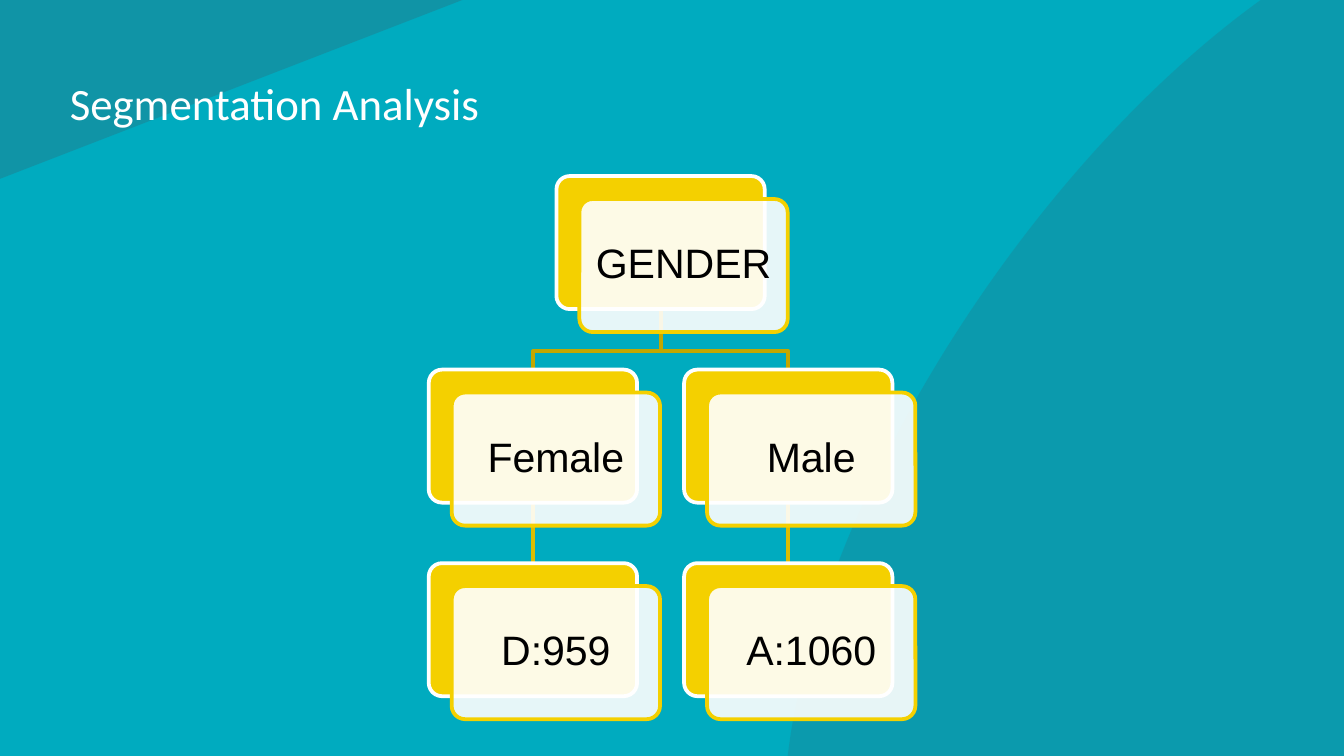
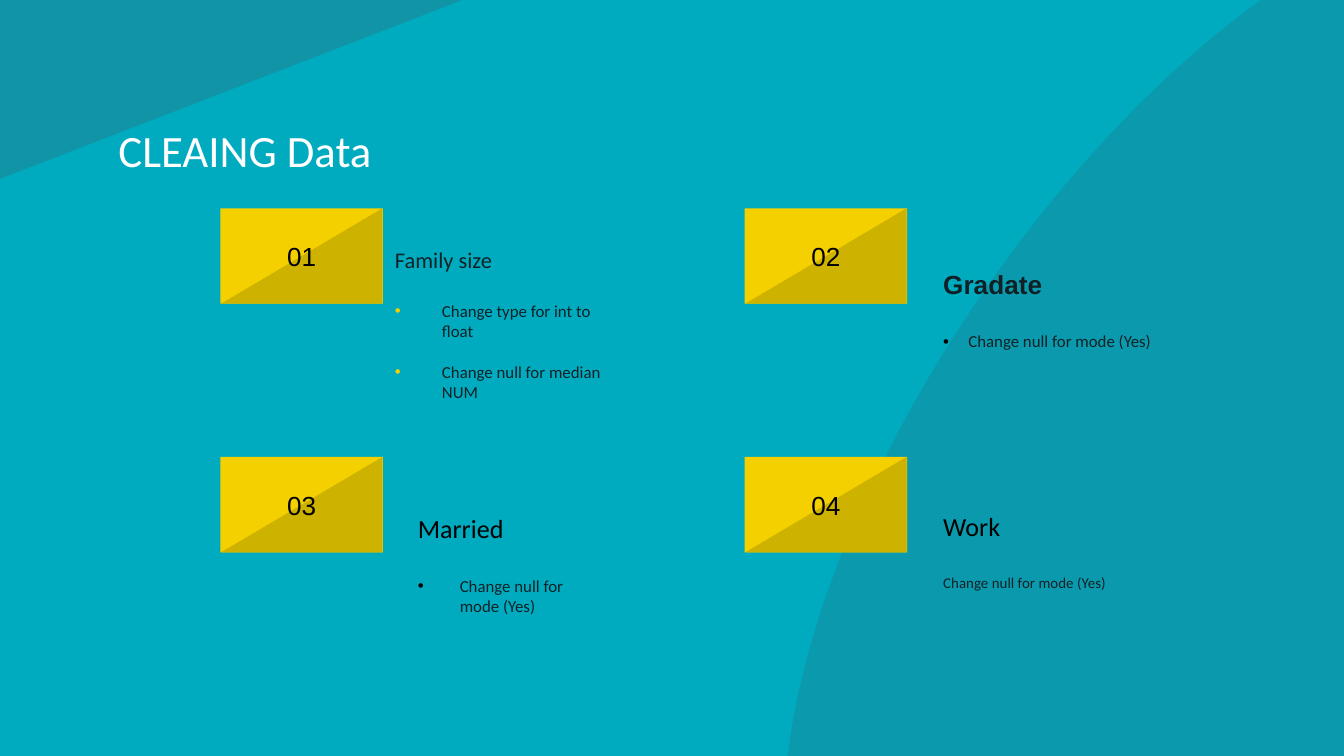
from lxml.etree import SubElement
from pptx import Presentation
from pptx.dml.color import RGBColor
from pptx.enum.shapes import MSO_CONNECTOR, MSO_SHAPE
from pptx.enum.text import MSO_ANCHOR, MSO_AUTO_SIZE, PP_ALIGN
from pptx.oxml.ns import qn
from pptx.util import Pt

TEAL, SLATE = "00ABBF", "336574"
YELLOW, OCHRE = "F4D000", "CEB200"
BRANCH, STEM = "C3A700", "DDBD00"
WHITE, BLACK, INK = "FFFFFF", "000000", "102126"
INSET = 7.2


def color(hex_code):
    return RGBColor.from_string(hex_code)


def add_text(frame, text, size=14, font="Calibri", ink=BLACK, bold=False,
             align=PP_ALIGN.LEFT, before=0, line=None, left=0, hanging=0, bullet=None):
    """Add one paragraph; the first one fills the frame's empty paragraph."""
    first = frame.paragraphs[0]
    paragraph = frame.add_paragraph() if first.runs else first
    paragraph.alignment = align
    paragraph.space_before = Pt(before)
    if line:
        paragraph.line_spacing = line
    run = paragraph.add_run()
    run.text = text
    run.font.size, run.font.name, run.font.bold = Pt(size), font, bold
    run.font.color.rgb = color(ink)
    properties = paragraph._p.get_or_add_pPr()
    properties.set("marL", str(Pt(left)))
    properties.set("indent", str(Pt(-hanging)))
    if bullet:
        bullet_color = SubElement(properties, qn("a:buClr"))
        SubElement(bullet_color, qn("a:srgbClr"), val=bullet)
        SubElement(properties, qn("a:buFont"), typeface="Arial")
        SubElement(properties, qn("a:buChar"), char="•")


class Deck:
    def __init__(self):
        self.presentation = Presentation()
        self.presentation.slide_width = Pt(720)
        self.presentation.slide_height = Pt(405)
        self.layout = self.presentation.slide_layouts[5]
        self.slide = None

    def new_slide(self, title, left, top, width, height):
        self.slide = self.presentation.slides.add_slide(self.layout)
        heading = self.slide.shapes.title
        heading.left, heading.top = Pt(left), Pt(top)
        heading.width, heading.height = Pt(width), Pt(height)
        self.frame(heading)
        add_text(heading.text_frame, title, size=24, ink=WHITE)

    def decorate_layout(self):
        """Move the two background shapes and the background to the shared layout."""
        background = self.layout.background.fill
        background.solid()
        background.fore_color.rgb = color(TEAL)
        corner = self.shape(MSO_SHAPE.RIGHT_TRIANGLE, 0, 0, 247.7, 95.8, SLATE,
                            alpha=32, rotation=180, flip=True)
        curve = self.shape(MSO_SHAPE.OVAL, 308.9, 91.4, 686.9, 307.4, SLATE,
                           alpha=23, rotation=304.5)
        for number, backdrop in enumerate((corner, curve)):
            backdrop._element.nvSpPr.cNvPr.id = 100 + number
            self.layout.shapes._spTree.insert(2 + number, backdrop._element)

    def frame(self, holder, inset=INSET, bottom=INSET):
        frame = holder.text_frame
        frame.word_wrap = True
        frame.auto_size = MSO_AUTO_SIZE.NONE
        frame.vertical_anchor = MSO_ANCHOR.MIDDLE
        frame.margin_left = frame.margin_right = frame.margin_top = Pt(inset)
        frame.margin_bottom = Pt(bottom)
        return frame

    def shape(self, kind, left, top, width, height, fill, alpha=None, line=None,
              rotation=0, flip=False):
        shape = self.slide.shapes.add_shape(kind, Pt(left), Pt(top), Pt(width), Pt(height))
        shape.shadow.inherit = False
        shape.rotation = rotation
        shape.fill.solid()
        shape.fill.fore_color.rgb = color(fill)
        if alpha:
            srgb = shape._element.spPr.find(qn("a:solidFill")).find(qn("a:srgbClr"))
            SubElement(srgb, qn("a:alpha"), val=str(alpha * 1000))
        if line:
            self.outline(shape, line)
        else:
            shape.line.fill.background()
        if flip:
            shape._element.spPr.xfrm.set("flipH", "1")
        return shape

    def outline(self, item, line):
        item.line.color.rgb = color(line)
        item.line.width = Pt(2)

    def text_box(self, left, top, width, height, bottom=INSET):
        box = self.slide.shapes.add_textbox(Pt(left), Pt(top), Pt(width), Pt(height))
        return self.frame(box, bottom=bottom)

    def card(self, label, left, top):
        """Yellow card with a translucent labelled card in front of it."""
        width, height, offset = 111.6, 71.3, 12.3
        back = self.shape(MSO_SHAPE.ROUNDED_RECTANGLE, left, top, width, height,
                          YELLOW, line=WHITE)
        front = self.shape(MSO_SHAPE.ROUNDED_RECTANGLE, left + offset, top + offset,
                           width, height, WHITE, alpha=90, line=YELLOW)
        back.adjustments[0] = front.adjustments[0] = 0.1
        add_text(self.frame(front, inset=6, bottom=6), label, size=22, font="Arial",
                 align=PP_ALIGN.CENTER, line=0.9)
        return back

    def send_to_back(self, item):
        self.slide.shapes._spTree.insert(2, item._element)

    def stem(self, parent, child):
        link = self.slide.shapes.add_connector(MSO_CONNECTOR.STRAIGHT, 0, 0, 0, 0)
        link.begin_connect(parent, 2)
        link.end_connect(child, 0)
        self.outline(link, STEM)
        SubElement(link._element.spPr, qn("a:effectLst"))
        self.send_to_back(link)

    def branch(self, parent, child):
        start_x = parent.left + parent.width // 2
        end_x = child.left + child.width // 2
        bend_y = child.top - Pt(10)
        builder = self.slide.shapes.build_freeform(start_x, parent.top + parent.height)
        builder.add_line_segments([(start_x, bend_y), (end_x, bend_y), (end_x, child.top)],
                                  close=False)
        link = builder.convert_to_shape()
        link.shadow.inherit = False
        link.fill.background()
        self.outline(link, BRANCH)
        self.send_to_back(link)

    def number_tile(self, number, left, top):
        width, height = 87.1, 51.1
        self.shape(MSO_SHAPE.RECTANGLE, left, top, width, height, YELLOW)
        self.shape(MSO_SHAPE.RIGHT_TRIANGLE, left + 0.4, top, 86.4, height, OCHRE, flip=True)
        add_text(self.text_box(left, top, width, height), f"{number:02}", font="Arial",
                 align=PP_ALIGN.CENTER)


def build_segmentation(deck):
    deck.new_slide("Segmentation Analysis", 30.2, 32.4, 443.5, 45.4)
    deck.decorate_layout()
    left, top, column_step, row_step = 229.7, 94.3, 136.8, 103.7

    # Tree: the root is centred above two columns
    gender = deck.card("GENDER", left + column_step / 2, top)
    for column, (group, count) in enumerate((("Female", "D:959"), ("Male", "A:1060"))):
        x = left + column * column_step
        group_card = deck.card(group, x, top + row_step)
        count_card = deck.card(count, x, top + 2 * row_step)
        deck.branch(gender, group_card)
        deck.stem(group_card, count_card)


def build_cleaning(deck):
    deck.new_slide("CLEAING Data", 56.2, 57.6, 303.8, 45.4)

    # Numbered tiles in a two by two grid
    for index in range(4):
        row, column = divmod(index, 2)
        deck.number_tile(index + 1, 118.1 + column * 280.8, 111.6 + row * 133.2)

    # Cleaning steps beside each tile
    mode_step = "Change null for mode (Yes)"
    family = deck.text_box(193.7, 95.8, 144.7, 155.5)
    hanging = dict(left=36, hanging=25.2, ink=INK)
    add_text(family, "Family size", size=12, **hanging)
    add_text(family, "Change type for int to float", size=9, before=14.6,
             bullet=YELLOW, **hanging)
    add_text(family, "Change null for median NUM", size=9, before=11,
             bullet=YELLOW, **hanging)

    graduate = deck.text_box(498.2, 140.4, 135.4, 67, bottom=INSET + 16)
    add_text(graduate, "Gradate", font="Arial", ink=INK, bold=True)
    add_text(graduate, mode_step, size=9, ink=INK, before=17,
             left=13.5, hanging=13.5, bullet=BLACK)

    married = deck.text_box(216.7, 270, 111.6, 64.8)
    add_text(married, "Married")
    add_text(married, mode_step, size=9, ink=INK, before=17,
             left=22.5, hanging=22.5, bullet=BLACK)

    work = deck.text_box(498.2, 270, 111.6, 67, bottom=INSET + 17)
    add_text(work, "Work")
    add_text(work, mode_step, size=8, ink=INK, before=17)


def main():
    deck = Deck()
    build_segmentation(deck)
    build_cleaning(deck)
    deck.presentation.save("out.pptx")


if __name__ == "__main__":
    main()
